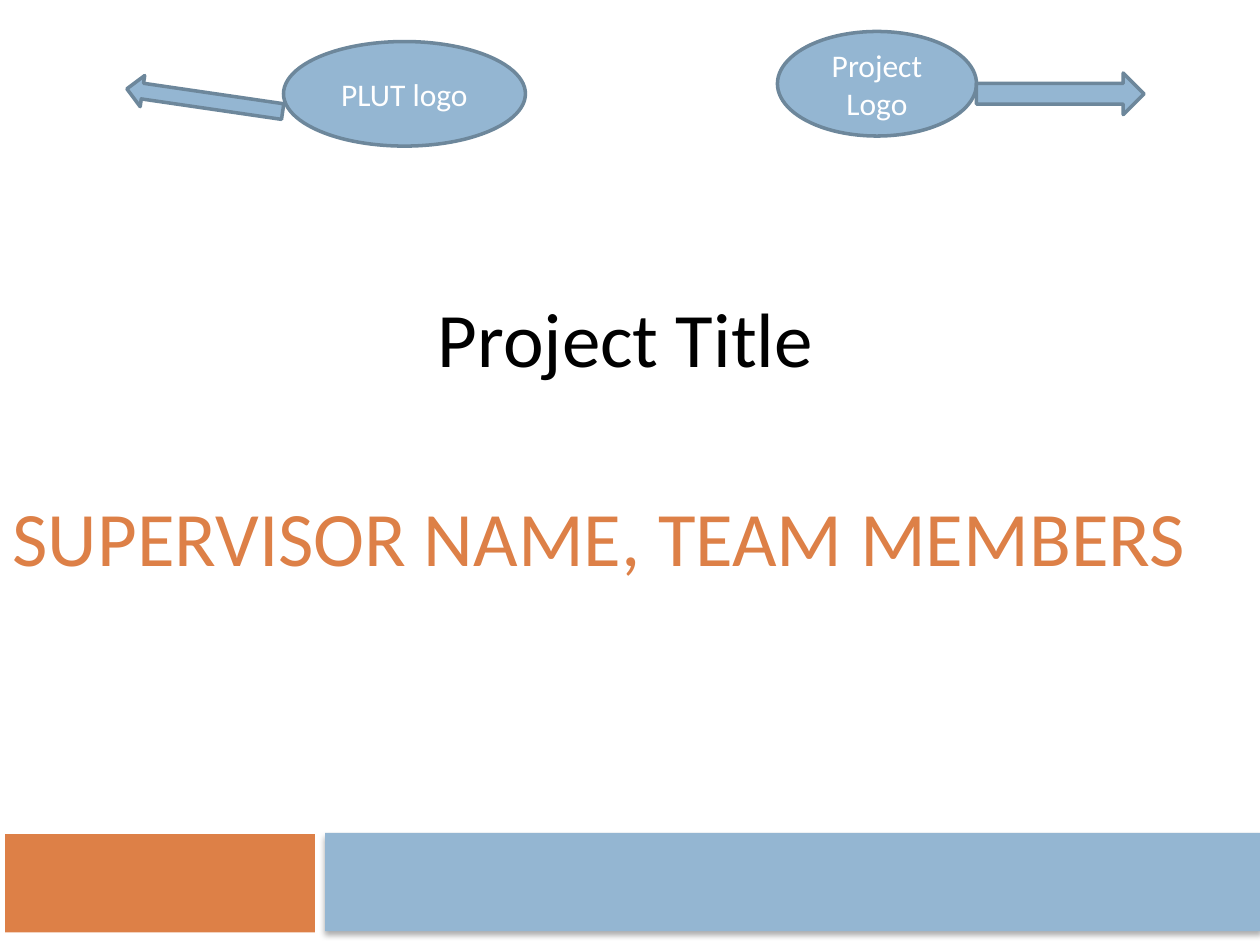
from lxml.etree import SubElement
from pptx import Presentation
from pptx.dml.color import RGBColor
from pptx.enum.shapes import MSO_SHAPE
from pptx.enum.text import MSO_ANCHOR, MSO_AUTO_SIZE, PP_ALIGN
from pptx.oxml.ns import qn
from pptx.util import Inches, Pt

BLUE = RGBColor(0x94, 0xB6, 0xD2)
EDGE = RGBColor(0x6D, 0x87, 0x9B)
ORANGE = RGBColor(0xDD, 0x80, 0x47)
BLACK = RGBColor(0, 0, 0)
WHITE = RGBColor(255, 255, 255)
FONT = "Calibri"
WIDE, HIGH = 10, 7.5
HEAD_W, HEAD_H = 9.59, 2


def put_text(shape, text, size, color, align):
    """Write one middle-anchored line of text into a shape."""
    frame = shape.text_frame
    frame.text = text
    frame.word_wrap = True
    frame.auto_size = MSO_AUTO_SIZE.NONE
    frame.vertical_anchor = MSO_ANCHOR.MIDDLE
    para = frame.paragraphs[0]
    para.alignment = align
    para.font.name = FONT
    para.font.size = Pt(size)
    para.font.color.rgb = color


def add_form(slide, kind, box, fill, edge=None):
    """Add a flat preset shape, with an outline if edge is given."""
    form = slide.shapes.add_shape(kind, *map(Inches, box))
    form.shadow.inherit = False
    form.fill.solid()
    form.fill.fore_color.rgb = fill
    if edge is None:
        form.line.fill.background()
    else:
        form.line.color.rgb = edge
        form.line.width = Pt(2)
    return form


def add_shade(form):
    """Give a shape a soft shadow straight below it."""
    effects = form._element.spPr.find(qn("a:effectLst"))
    shade = SubElement(effects, qn("a:outerShdw"), blurRad=str(Pt(3.5)),
                       dist=str(Pt(2.2)), dir="5400000", rotWithShape="0")
    color = SubElement(shade, qn("a:srgbClr"), val="000000")
    SubElement(color, qn("a:alpha"), val="32000")


def add_logo(slide, text, box):
    """Add an oval that holds the place of a logo."""
    oval = add_form(slide, MSO_SHAPE.OVAL, box, BLUE, EDGE)
    put_text(oval, text, 18, WHITE, PP_ALIGN.CENTER)


def add_arrow(slide, box, turn=0):
    """Add a block arrow, turned by some degrees."""
    arrow = add_form(slide, MSO_SHAPE.RIGHT_ARROW, box, BLUE, EDGE)
    arrow.rotation = turn


def add_bars(slide):
    """Add the two bars at the foot of the slide."""
    add_form(slide, MSO_SHAPE.RECTANGLE, (0.04, 6.62, 2.46, 0.78), ORANGE)
    left = 2.58
    add_shade(add_form(slide, MSO_SHAPE.RECTANGLE,
                       (left, 6.61, WIDE - left, 0.78), BLUE))


def add_heads(slide):
    """Place the names in the title and the project title above it."""
    names = slide.shapes.title
    names.left, names.top = Inches(0), Inches(3.25)
    names.width, names.height = Inches(HEAD_W), Inches(HEAD_H)
    put_text(names, "SUPERVISOR NAME, TEAM MEMBERS", 44, ORANGE,
             PP_ALIGN.LEFT)
    box = map(Inches, (0.17, 1.67, HEAD_W, HEAD_H))
    topic = slide.shapes.add_textbox(*box)
    put_text(topic, "Project Title", 44, BLACK, PP_ALIGN.CENTER)


def main():
    """Build and save the slide."""
    deck = Presentation()
    deck.slide_width, deck.slide_height = Inches(WIDE), Inches(HIGH)
    slide = deck.slides.add_slide(deck.slide_layouts[5])
    add_bars(slide)
    add_heads(slide)
    add_logo(slide, "Project Logo", (6.17, 0.25, 1.58, 0.83))
    add_logo(slide, "PLUT logo", (2.25, 0.33, 1.92, 0.83))
    add_arrow(slide, (7.75, 0.58, 1.33, 0.33))
    add_arrow(slide, (1, 0.67, 1.25, 0.25), 188.3)
    deck.save("out.pptx")


main()
